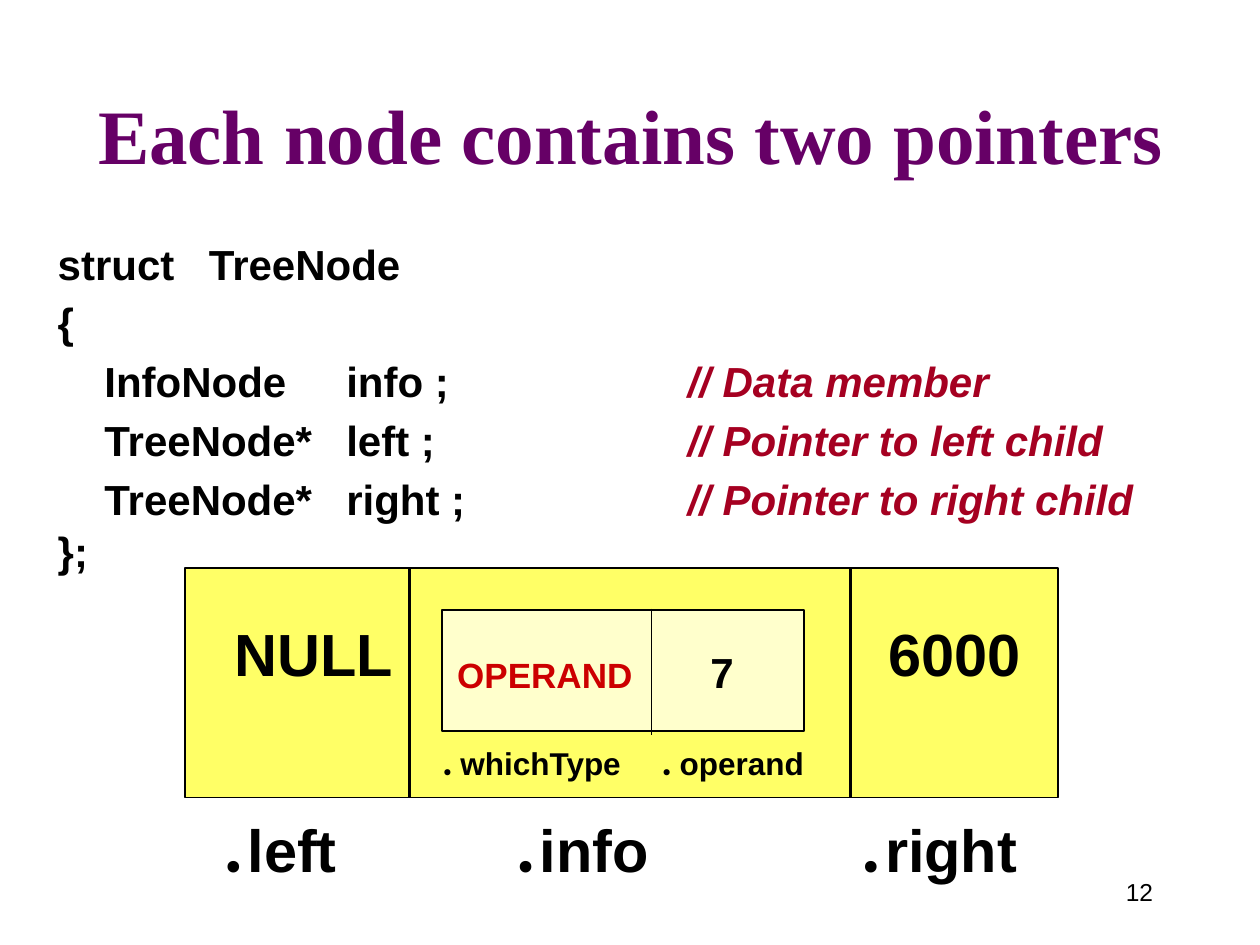
from lxml import etree
from pptx import Presentation, util as u
from pptx.dml.color import RGBColor
from pptx.enum import shapes, text
from pptx.oxml.ns import qn

BLACK, RED, WINE, PLUM = "000000", "CC0000", "A50021", "660066"
SANS, SERIF, DOT = "Arial", "Times New Roman", "Montserrat"
hue = RGBColor.from_string


def write(par, runs, stops=(), before=0):
    """Fill a paragraph with (words, size, font, colour, style) runs and tab stops."""
    par.space_before = u.Pt(before)
    if stops:
        tabs = etree.SubElement(par._p.get_or_add_pPr(), qn("a:tabLst"))
        for stop in stops:
            etree.SubElement(tabs, qn("a:tab"), pos=str(u.Inches(stop)), algn="l")
    for words, size, face, tint, style in runs:
        run = par.add_run()
        run.text = words
        run.font.size, run.font.name = u.Pt(size), face
        run.font.bold, run.font.italic = "b" in style, "i" in style
        run.font.color.rgb = hue(tint)


def label(home, area, inset):
    """Add an empty wrapping text box and return its frame."""
    frame = home.shapes.add_textbox(*map(u.Inches, area)).text_frame
    frame.word_wrap = True
    frame.margin_left = frame.margin_right = u.Inches(inset)
    frame.margin_top = frame.margin_bottom = u.Inches(inset / 2)
    return frame


deck = Presentation()
deck.slide_width, deck.slide_height = u.Inches(10), u.Inches(7.5)
slide = deck.slides.add_slide(deck.slide_layouts[5])

# Title
title = slide.shapes.title
title.left, title.top = u.Inches(0.53), u.Inches(0.23)
title.width, title.height = u.Inches(8.96), u.Inches(1.25)
title.text_frame.auto_size = text.MSO_AUTO_SIZE.NONE
title.text_frame.vertical_anchor = text.MSO_ANCHOR.BOTTOM
head = title.text_frame.paragraphs[0]
head.alignment = text.PP_ALIGN.CENTER
write(head, [("Each node contains two pointers", 44, SERIF, PLUM, "b")])

# Struct listing: code, comment, tab stops, space before
field = (0.37, 2.29, 5)
lines = [
    ("struct\tTreeNode", "", (1.2,), 3),
    ("{", "", (), 4.8),
    ("\tInfoNode\tinfo ;\t", "// Data member", field, 4.8),
    ("\tTreeNode*\tleft ;\t", "// Pointer to left child", field, 4.8),
    ("\tTreeNode*\tright ;\t", "// Pointer to right child", field, 4.8),
    ("};", "", (), 1),
]
code_box = label(slide, (0.36, 1.84, 9.41, 2.7), 0.1)
for row, (code, note, stops, gap) in enumerate(lines):
    par = code_box.paragraphs[0] if row == 0 else code_box.add_paragraph()
    runs = [(code, 24, SANS, BLACK, "b")]
    if note:
        runs.append((note, 24, SANS, WINE, "bi"))
    write(par, runs, stops, gap)

# Node box, with the info record grouped inside it
record = slide.shapes.add_group_shape()
boxes = [
    (slide, "FFFF66", (1.47, 4.51, 6.93, 1.82)),
    (record, "FFFFCC", (3.51, 4.84, 2.87, 0.96)),
]
for home, fill, area in boxes:
    box = home.shapes.add_shape(shapes.MSO_SHAPE.RECTANGLE, *map(u.Inches, area))
    box.shadow.inherit = False
    box.fill.solid()
    box.fill.fore_color.rgb = hue(fill)
    box.line.color.rgb = hue(BLACK)
    box.line.width = u.Pt(1)
# Bring the record in front of the node box
slide.shapes._spTree.append(record._element)

walls = [(slide, 3.25, 4.5, 6.33, 2), (slide, 6.75, 4.5, 6.33, 2),
         (record, 5.17, 4.83, 5.83, 1)]
for home, x, top, end, width in walls:
    wall = home.shapes.add_connector(
        shapes.MSO_CONNECTOR.STRAIGHT, *map(u.Inches, (x, top, x, end)))
    wall.line.color.rgb = hue(BLACK)
    wall.line.width = u.Pt(width)
    etree.SubElement(wall._element.spPr, qn("a:effectLst"))

# Field names below the node and below the record
names = []
for lead, name in (("", "left"), ("\t", "info"), ("\t", "right")):
    names += [(lead + ".", 34, DOT, BLACK, "b"), (" ", 14, DOT, BLACK, ""),
              (name, 34, SANS, BLACK, "b")]
parts = []
for lead, name in (("", "whichType"), ("\t", "operand")):
    parts += [(lead + ". ", 18, DOT, BLACK, "b"), (name, 18, SANS, BLACK, "b")]

# Text rows: home, area, side inset, tab stops, runs
rows = [
    (slide, (1.65, 6.38, 6.72, 0.71), 0.14, (2.32, 5.06), names),
    (slide, (1.59, 4.83, 6.66, 0.71), 0.14, (0.13, 5.32),
     [("\tNULL\t6000", 34, SANS, BLACK, "b")]),
    (record, (3.42, 5.86, 3.16, 0.4), 0.1, (1.74,), parts),
    (record, (3.53, 5.08, 2.61, 0.5), 0.1, (2.01,),
     [("OPERAND", 20, SANS, RED, "b"), ("\t7", 24, SANS, BLACK, "b")]),
    (slide, (8.58, 6.83, 0.67, 0.5), 0.1, (), [("12", 14, SANS, BLACK, "")]),
]
for home, area, inset, stops, runs in rows:
    frame = label(home, area, inset)
    write(frame.paragraphs[0], runs, stops)

# The last row is the page number
frame.vertical_anchor = text.MSO_ANCHOR.MIDDLE
frame.paragraphs[0].alignment = text.PP_ALIGN.RIGHT

deck.save("out.pptx")
